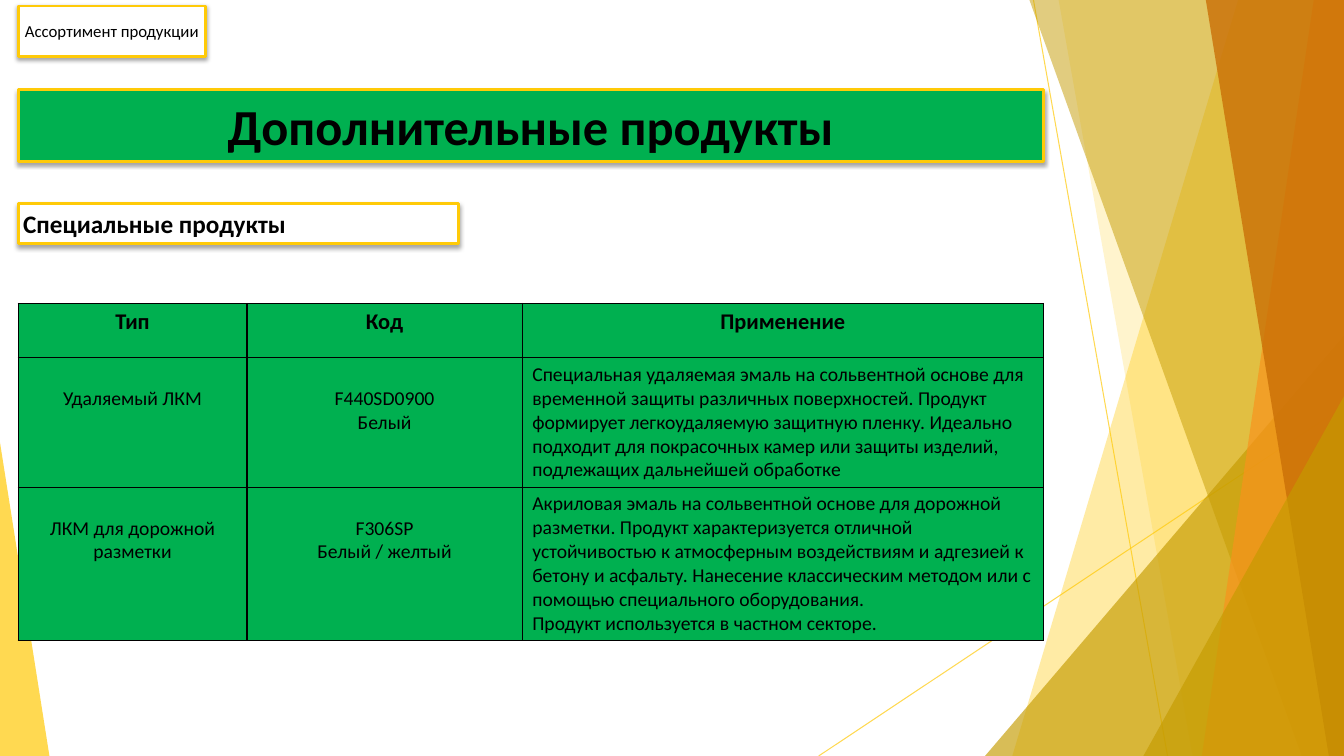
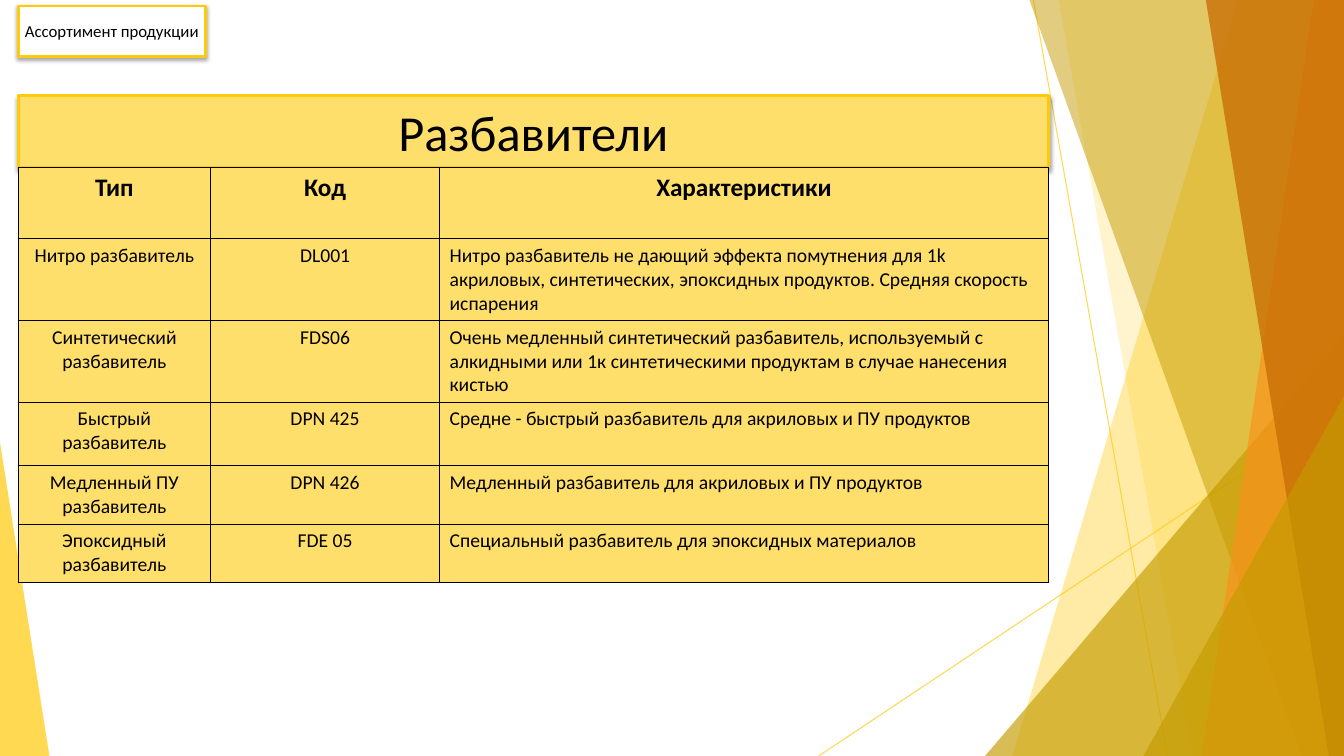
import pptx
import pptx.util
import pptx.oxml
import pptx.oxml.ns
import pptx.dml.color
import pptx.enum.shapes
import pptx.enum.text

Inches, Pt = pptx.util.Inches, pptx.util.Pt
qn = pptx.oxml.ns.qn
Kind = pptx.enum.shapes.MSO_SHAPE
Align = pptx.enum.text.PP_ALIGN
Anchor = pptx.enum.text.MSO_ANCHOR
WIDE, HIGH, LEFT = 13.33, 7.5, 0.18
FONT = "Calibri"
HUES = {"gold": "FFCA08", "dark": "C59B00", "orange": "F8931D", "rust": "CA6F06",
        "green": "00B050", "cream": "FFDF6B", "white": "FFFFFF", "black": "000000"}

# Content
LABEL = "Ассортимент продукции"
PAGES = [
    dict(title="Дополнительные продукты", bold=True, hue="green", top=0.89,
         sub="Специальные продукты", start=3.01, head=16, drop=0.24,
         cols=[2.27, 2.73, 5.17], heights=[0.54, 1.27, 1.5],
         rows=[
             ("Тип", "Код", "Применение"),
             ("Удаляемый ЛКМ", "F440SD0900\nБелый",
              "Специальная удаляемая эмаль на сольвентной основе для временной защиты "
              "различных поверхностей. Продукт формирует легкоудаляемую защитную пленку. "
              "Идеально подходит для покрасочных камер или защиты изделий, подлежащих "
              "дальнейшей обработке"),
             ("ЛКМ для дорожной разметки", "F306SP\nБелый / желтый",
              "Акриловая эмаль на сольвентной основе для дорожной разметки. Продукт "
              "характеризуется отличной устойчивостью к атмосферным воздействиям и адгезией "
              "к бетону и асфальту. Нанесение классическим методом или с помощью "
              "специального оборудования.\nПродукт используется в частном секторе."),
         ]),
    dict(title="Разбавители", bold=False, hue="cream", top=0.95,
         sub=None, start=1.66, head=18, drop=0,
         cols=[1.91, 2.27, 6.04], heights=[0.71, 0.8, 0.8, 0.63, 0.58, 0.58],
         rows=[
             ("Тип", "Код", "Характеристики"),
             ("Нитро разбавитель", "DL001",
              "Нитро разбавитель не дающий эффекта помутнения для 1k акриловых, "
              "синтетических, эпоксидных продуктов. Средняя скорость испарения"),
             ("Синтетический разбавитель", "FDS06",
              "Очень медленный синтетический разбавитель, используемый с алкидными или 1к "
              "синтетическими продуктам в случае нанесения кистью"),
             ("Быстрый разбавитель", "DPN 425",
              "Средне - быстрый разбавитель для акриловых и ПУ продуктов"),
             ("Медленный ПУ разбавитель", "DPN 426",
              "Медленный разбавитель для акриловых и ПУ продуктов"),
             ("Эпоксидный разбавитель", "FDE 05",
              "Специальный разбавитель для эпоксидных материалов"),
         ]),
]

# Backdrop: lines by their ends, bands by left edge at top and bottom, triangles by box and tip
LINES = [(10.25, 0, 11.58, HIGH), (WIDE, 4.03, 8.12, HIGH)]
ART = [
    ("band", (12.28, 10.04), "gold", 36),
    ("band", (10.5, 11.83), "gold", 20),
    ("tri", (9.77, 3.33, 3.56, 4.17, 1), "dark", 66),
    ("band", (10.21, 12.91), "dark", 50),
    ("band", (13.03, 11.92), "orange", 70),
    ("band", (11.96, 13.18), "rust", 80),
    ("tri", (11.34, 3.93, 1.99, 3.57, 1), "dark", 66),
    ("tri", (0, 4.39, 0.49, 3.11, 0), "gold", 70),
]


def rgb(hue):
    return pptx.dml.color.RGBColor.from_string(HUES[hue])


def node(root, tag, **attrs):
    item = root.makeelement(qn(tag), {key: str(val) for key, val in attrs.items()})
    root.append(item)
    return item


def fade(shape, share):
    for tone in shape.element.spPr.iter(qn("a:srgbClr")):
        node(tone, "a:alpha", val=share * 1000)


def write(frame, text, size=14, bold=False, align=Align.CENTER):
    frame.word_wrap = True
    frame.text = text
    for para in frame.paragraphs:
        para.alignment = align
        font = para.font
        font.name, font.size, font.bold = FONT, Pt(size), bold
        font.color.rgb = rgb("black")


def frame_box(shape, box, hue, text, **form):
    """Gold-edged box with a soft shadow below it."""
    shape.left, shape.top, shape.width, shape.height = map(Inches, box)
    shape.fill.solid()
    shape.fill.fore_color.rgb = rgb(hue)
    shape.line.color.rgb = rgb("gold")
    shape.line.width = Pt(2)
    cast = node(node(shape.element.spPr, "a:effectLst"), "a:outerShdw", blurRad=Pt(3),
                dist=Pt(1.8), dir=90 * 60000, algn="ctr", rotWithShape=0)
    node(node(cast, "a:srgbClr", val=HUES["black"]), "a:alpha", val=35000)
    frame = shape.text_frame
    frame.auto_size = pptx.enum.text.MSO_AUTO_SIZE.NONE
    frame.vertical_anchor = Anchor.MIDDLE
    frame.margin_left = frame.margin_right = Inches(0.05)
    frame.margin_top = frame.margin_bottom = Inches(0.05)
    write(frame, text, **form)


def add_box(slide, box, text, **form):
    shape = slide.shapes.add_shape(Kind.RECTANGLE, *map(Inches, box))
    frame_box(shape, box, "white", text, **form)


def draw_art(slide, layout):
    """Draw the backdrop once and hand it to the layout."""
    tree = layout.shapes.element
    for ends in LINES:
        line = slide.shapes.add_connector(
            pptx.enum.shapes.MSO_CONNECTOR.STRAIGHT, *map(Inches, ends))
        line.line.color.rgb = rgb("gold")
        line.line.width = Pt(0.75)
        fade(line, 70)
        node(line.element.spPr, "a:effectLst")
        tree.append(line.element)
    for kind, place, hue, share in ART:
        if kind == "band":
            top, foot = place
            pen = slide.shapes.build_freeform(Inches(top), 0)
            pen.add_line_segments([(Inches(x), Inches(y)) for x, y in
                                   ((WIDE, 0), (WIDE, HIGH), (foot, HIGH))])
            shape = pen.convert_to_shape()
        else:
            *box, tip = place
            shape = slide.shapes.add_shape(Kind.ISOSCELES_TRIANGLE, *map(Inches, box))
            shape.adjustments[0] = tip
        shape.shadow.inherit = False
        shape.line.fill.background()
        shape.fill.solid()
        shape.fill.fore_color.rgb = rgb(hue)
        fade(shape, share)
        tree.append(shape.element)


def edge(cell):
    props = cell._tc.get_or_add_tcPr()
    for side in ("a:lnL", "a:lnR", "a:lnT", "a:lnB"):
        line = node(props, side, w=Pt(1))
        node(node(line, "a:solidFill"), "a:srgbClr", val=HUES["black"])


def add_grid(slide, page):
    rows, cols, heights = page["rows"], page["cols"], page["heights"]
    box = (LEFT, page["start"], sum(cols), sum(heights))
    grid = slide.shapes.add_table(len(rows), len(cols), *map(Inches, box)).table
    grid.first_row = grid.horz_banding = False
    for col, width in zip(grid.columns, cols):
        col.width = Inches(width)
    for r, texts in enumerate(rows):
        grid.rows[r].height = Inches(heights[r])
        for c, text in enumerate(texts):
            cell, head = grid.cell(r, c), r == 0
            edge(cell)
            cell.fill.solid()
            cell.fill.fore_color.rgb = rgb(page["hue"])
            prose = c == len(cols) - 1 and not head
            if not (head or prose):
                cell.margin_top = Inches(0.05 + page["drop"])
            write(cell.text_frame, text, size=page["head"] if head else 14, bold=head,
                  align=Align.LEFT if prose else Align.CENTER)


def main():
    deck = pptx.Presentation()
    deck.slide_width, deck.slide_height = Inches(WIDE), Inches(HIGH)
    layout = deck.slide_layouts.get_by_name("Title Only")
    for index, page in enumerate(PAGES):
        slide = deck.slides.add_slide(layout)
        if index == 0:
            draw_art(slide, layout)
        frame_box(slide.shapes.title, (LEFT, page["top"], sum(page["cols"]), 0.71),
                  page["hue"], page["title"], size=36, bold=page["bold"])
        add_box(slide, (LEFT, 0.06, 1.86, 0.5), LABEL, size=12)
        add_grid(slide, page)
        if page["sub"]:
            add_box(slide, (LEFT, 2.02, 4.37, 0.4), page["sub"],
                    size=18, bold=True, align=Align.LEFT)
    deck.save("out.pptx")


if __name__ == "__main__":
    main()
